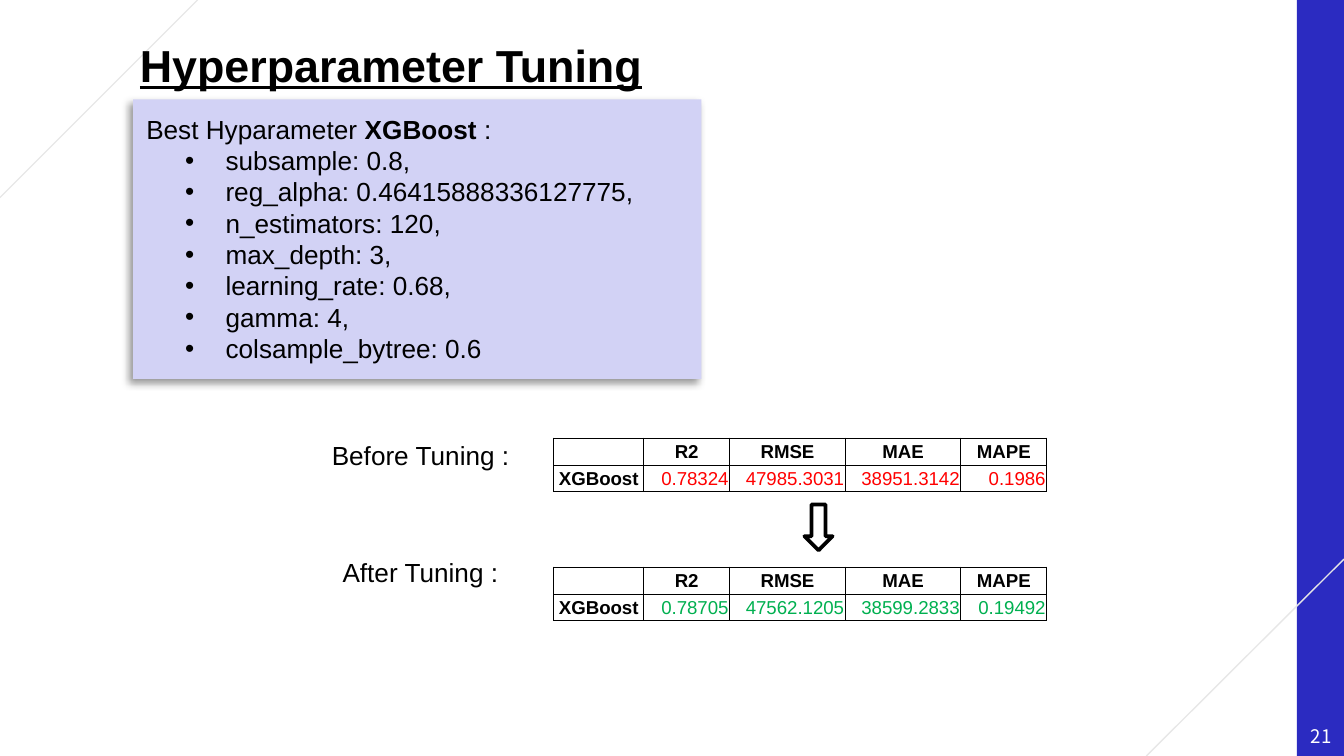
from lxml import etree
from pptx import Presentation
from pptx.dml.color import RGBColor
from pptx.enum.shapes import MSO_CONNECTOR, MSO_SHAPE
from pptx.enum.text import MSO_ANCHOR, PP_ALIGN
from pptx.oxml.ns import qn
from pptx.util import Inches, Pt

RECT, ARROW = MSO_SHAPE.RECTANGLE, MSO_SHAPE.RIGHT_ARROW
STRAIGHT = MSO_CONNECTOR.STRAIGHT
LEFT, CENTER, RIGHT = PP_ALIGN.LEFT, PP_ALIGN.CENTER, PP_ALIGN.RIGHT
TOP, MIDDLE = MSO_ANCHOR.TOP, MSO_ANCHOR.MIDDLE
WIDE = 10
HIGH = WIDE * 9 / 16
COLORS = {"ink": "000000", "paper": "FFFFFF", "bar": "2B2BC1", "rule": "E7E7E7",
          "panel": "D2D2F5", "before": "FF0000", "after": "00B050"}


def add_xml(parent, tag, **attrs):
    return etree.SubElement(parent, qn(tag), attrs)


class Deck:
    font = "Arial"

    def __init__(self, slide):
        self.slide = slide
        self.shapes = slide.shapes

    def color(self, name):
        return RGBColor.from_string(COLORS[name])

    def style(self, para, size, color="ink", bold=False, align=LEFT, font=None):
        para.alignment = align
        for run in para.runs:
            run.font.name = font or self.font
            run.font.size = Pt(size)
            run.font.bold = bold
            run.font.color.rgb = self.color(color)

    def frame(self, frame, anchor=TOP):
        frame.word_wrap = True
        frame.vertical_anchor = anchor
        frame.margin_left = frame.margin_right = Inches(0.1)
        frame.margin_top = frame.margin_bottom = Inches(0.1)

    def title(self, text, *box):
        title = self.shapes.title
        title.left, title.top, title.width, title.height = map(Inches, box)
        title.text_frame.text = text
        self.frame(title.text_frame)
        para = title.text_frame.paragraphs[0]
        self.style(para, 24, bold=True)
        para.runs[0].font.underline = True
        # Bring the title in front of the background lines
        title.element.getparent().append(title.element)

    def text(self, text, *box, anchor=TOP, **style):
        frame = self.shapes.add_textbox(*map(Inches, box)).text_frame
        frame.text = text
        self.frame(frame, anchor)
        self.style(frame.paragraphs[0], **style)

    def shape(self, kind, fill, *box, line=None):
        shape = self.shapes.add_shape(kind, *map(Inches, box))
        shape.shadow.inherit = False
        shape.fill.solid()
        shape.fill.fore_color.rgb = self.color(fill)
        if line:
            shape.line.color.rgb = self.color(line)
            shape.line.width = Pt(2)
        else:
            shape.line.fill.background()
        return shape

    def line(self, *ends):
        line = self.shapes.add_connector(STRAIGHT, *map(Inches, ends))
        line.line.color.rgb = self.color("rule")
        line.line.width = Pt(0.75)
        add_xml(line.element.spPr, "a:effectLst")

    def panel(self, head, items, *box):
        panel = self.shape(RECT, "panel", *box)
        # Soft shadow to the lower left
        effects = panel.element.spPr.find(qn("a:effectLst"))
        shadow = add_xml(effects, "a:outerShdw", blurRad=str(Pt(4)), dist=str(Pt(3)),
                         dir=str(135 * 60000), algn="tr", rotWithShape="0")
        black = add_xml(shadow, "a:srgbClr", val=COLORS["ink"])
        add_xml(black, "a:alpha", val="40000")

        frame = panel.text_frame
        self.frame(frame)
        first = frame.paragraphs[0]
        for part in head:
            first.add_run().text = part
        for item in items:
            para = frame.add_paragraph()
            para.text = item
            props = para._p.get_or_add_pPr()
            props.set("marL", str(Inches(0.59)))
            props.set("indent", str(Inches(-0.3)))
            add_xml(props, "a:buFont", typeface=self.font)
            add_xml(props, "a:buChar", char="•")
        for para in frame.paragraphs:
            self.style(para, 14)
            para.line_spacing = Pt(16.8)
        first.runs[1].font.bold = True

    def cell(self, cell, text, **style):
        cell.fill.background()
        cell.vertical_anchor = MIDDLE
        cell.margin_left = cell.margin_right = cell.margin_top = Inches(0.01)
        cell.margin_bottom = 0
        para = cell.text_frame.paragraphs[0]
        if text:
            para.text = text
            self.style(para, 10, **style)
        else:
            add_xml(para._p, "a:endParaRPr", sz="1000")
        props = cell._tc.get_or_add_tcPr()
        for spot, side in enumerate(("a:lnL", "a:lnR", "a:lnT", "a:lnB")):
            edge = etree.Element(qn(side), w=str(Pt(0.5)))
            fill = add_xml(edge, "a:solidFill")
            add_xml(fill, "a:srgbClr", val=COLORS["ink"])
            props.insert(spot, edge)

    def table(self, rows, widths, color, left, top):
        high = 0.2
        box = (left, top, sum(widths), high * len(rows))
        table = self.shapes.add_table(len(rows), len(widths), *map(Inches, box)).table
        table.first_row = table.horz_banding = False
        for col, width in zip(table.columns, widths):
            col.width = Inches(width)
        for r, row in enumerate(rows):
            table.rows[r].height = Inches(high)
            for c, text in enumerate(row):
                if r and c:
                    style = {"color": color, "align": RIGHT}
                else:
                    style = {"bold": True, "align": CENTER}
                self.cell(table.cell(r, c), text, **style)


def main():
    prs = Presentation()
    prs.slide_width, prs.slide_height = Inches(WIDE), Inches(HIGH)
    deck = Deck(prs.slides.add_slide(prs.slide_layouts[5]))

    # Background bar, corner lines and page number
    deck.shape(RECT, "bar", 9.65, 0, 0.35, HIGH)
    deck.line(0, 1.47, 1.47, 0)
    deck.line(8.53, HIGH, WIDE, 4.16)
    deck.title("Hyperparameter Tuning", 0.94, 0.18, 8.42, 0.63)
    deck.text("21", 9.65, 5.33, 0.36, 0.29, anchor=MIDDLE, size=10,
              color="paper", align=CENTER, font="Noto Sans CJK KR")

    # Best parameters
    deck.panel(["Best Hyparameter ", "XGBoost", " :"],
               ["subsample: 0.8,", "reg_alpha: 0.46415888336127775,",
                "n_estimators: 120,", "max_depth: 3,", "learning_rate: 0.68,",
                "gamma: 4,", "colsample_bytree: 0.6"],
               0.99, 0.74, 4.23, 2.08)

    # Scores before and after tuning
    head = ["", "R2", "RMSE", "MAE", "MAPE"]
    widths = [0.67, 0.64, 0.86, 0.86, 0.64]
    scores = [("before", 3.26, ["0.78324", "47985.3031", "38951.3142", "0.1986"]),
              ("after", 4.22, ["0.78705", "47562.1205", "38599.2833", "0.19492"])]
    for color, top, row in scores:
        deck.table([head, ["XGBoost"] + row], widths, color, 4.12, top)
    deck.text("Before Tuning :", 2.37, 3.17, 1.91, 0.41, size=14)
    deck.text("After Tuning :", 2.45, 4.04, 1.91, 0.41, size=14)

    # Arrow between the tables
    arrow = deck.shape(ARROW, "paper", 5.92, 3.82, 0.34, 0.21, line="ink")
    arrow.rotation = 90

    prs.save("out.pptx")


if __name__ == "__main__":
    main()
